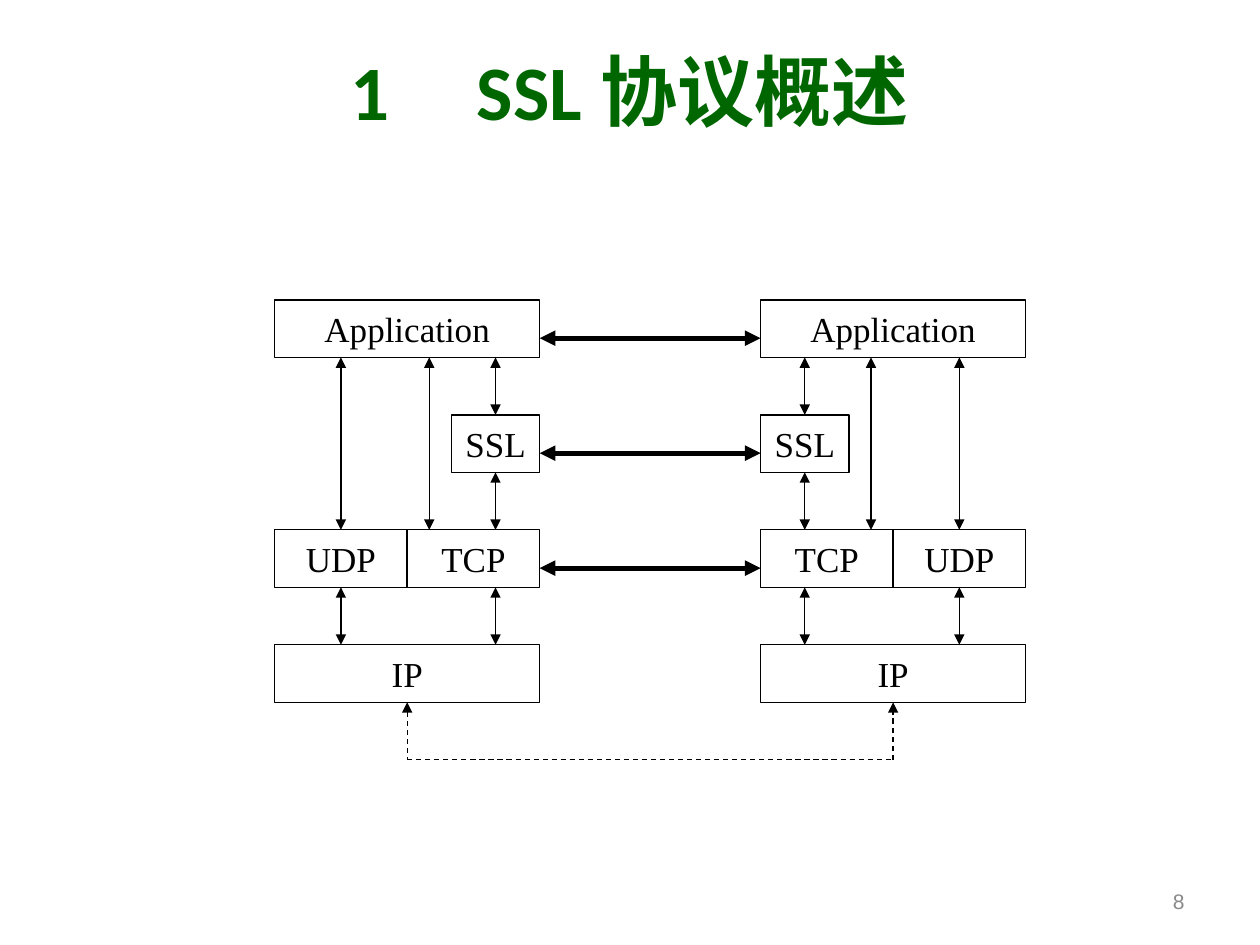
"""Build the SSL protocol overview slide with two mirrored protocol stacks."""
from typing import NamedTuple

from lxml import etree
from pptx import Presentation
from pptx.dml.color import RGBColor
from pptx.enum.dml import MSO_LINE
from pptx.enum.shapes import MSO_CONNECTOR, MSO_SHAPE
from pptx.enum.text import MSO_ANCHOR, PP_ALIGN
from pptx.oxml.ns import qn
from pptx.util import Inches, Pt

RECTANGLE = MSO_SHAPE.RECTANGLE
STRAIGHT = MSO_CONNECTOR.STRAIGHT
DASH = MSO_LINE.DASH
TOP, MIDDLE = MSO_ANCHOR.TOP, MSO_ANCHOR.MIDDLE
CENTER, RIGHT = PP_ALIGN.CENTER, PP_ALIGN.RIGHT
TOP_SITE, BOTTOM_SITE = 0, 2

COLUMNS, ROWS = 17, 8
LEFT, UPPER = 2.18, 2.38
COLUMN, ROW = 5.96 / COLUMNS, 3.65 / ROWS
BLACK, WHITE, GREEN, GRAY = "000000", "FFFFFF", "006600", "898989"


class Layer(NamedTuple):
    """A protocol box of the left stack, in grid columns and rows."""

    name: str
    column: float
    row: float
    columns: float


class Link(NamedTuple):
    """A vertical arrow of the left stack, with the layers joined at its ends."""

    column: float
    start_row: float
    end_row: float
    start_layer: str = ""
    end_layer: str = ""


LAYERS = [
    Layer("TCP", 3, 4, 3),
    Layer("UDP", 0, 4, 3),
    Layer("IP", 0, 6, 6),
    Layer("SSL", 4, 2, 2),
    Layer("Application", 0, 0, 6),
]
LINKS = [
    Link(5, 1, 2, end_layer="SSL"),
    Link(5, 3, 4, start_layer="SSL"),
    Link(5, 5, 6),
    Link(3.5, 1, 4),
    Link(1.5, 1, 4, end_layer="UDP"),
    Link(1.5, 5, 6, start_layer="UDP"),
]


def color(value: str) -> RGBColor:
    """Turn a hex string into a colour."""
    return RGBColor.from_string(value)


def grid_x(column: float):
    """Return the horizontal position of a grid column."""
    return Inches(LEFT + column * COLUMN)


def grid_y(row: float):
    """Return the vertical position of a grid row."""
    return Inches(UPPER + row * ROW)


def write(shape, *runs: tuple[str, str], size=20, hex_color=BLACK, bold=False,
          align=CENTER, anchor=MIDDLE, tab=None):
    """Write runs of (text, font name) into a shape as one paragraph."""
    frame = shape.text_frame
    frame.word_wrap = True
    frame.vertical_anchor = anchor
    paragraph = frame.paragraphs[0]
    paragraph.alignment = align
    if tab is not None:
        tab_list = etree.SubElement(paragraph._p.get_or_add_pPr(), qn("a:tabLst"))
        etree.SubElement(tab_list, qn("a:tab"), pos=str(Inches(tab)), algn="l")
    for text, font_name in runs:
        run = paragraph.add_run()
        run.text = text
        run.font.name = font_name
        run.font.size = Pt(size)
        run.font.bold = bold
        run.font.color.rgb = color(hex_color)


def add_layer(slide, layer: Layer, mirrored: bool):
    """Draw one protocol box and return it."""
    column = COLUMNS - layer.column - layer.columns if mirrored else layer.column
    shape = slide.shapes.add_shape(
        RECTANGLE, grid_x(column), grid_y(layer.row),
        Inches(layer.columns * COLUMN), Inches(ROW))
    shape.shadow.inherit = False
    shape.fill.solid()
    shape.fill.fore_color.rgb = color(WHITE)
    shape.line.color.rgb = color(BLACK)
    shape.line.width = Pt(0.75)
    write(shape, (layer.name, "Times New Roman"))
    return shape


def add_line(slide, start: tuple[float, float], end: tuple[float, float],
             width=0.75, dash=None, head=True, tail=True):
    """Draw a line between two grid points, with optional arrowheads."""
    connector = slide.shapes.add_connector(
        STRAIGHT, grid_x(start[0]), grid_y(start[1]), grid_x(end[0]), grid_y(end[1]))
    connector.line.color.rgb = color(BLACK)
    connector.line.width = Pt(width)
    if dash is not None:
        connector.line.dash_style = dash
    line = connector.line._get_or_add_ln()
    for name, wanted in (("a:headEnd", head), ("a:tailEnd", tail)):
        if wanted:
            etree.SubElement(line, qn(name), type="triangle")
    etree.SubElement(connector._element.spPr, qn("a:effectLst"))
    return connector


def add_stack(slide, mirrored: bool):
    """Draw one protocol stack with its arrows and return its boxes by name."""
    boxes = {layer.name: add_layer(slide, layer, mirrored) for layer in LAYERS}
    for link in LINKS:
        column = COLUMNS - link.column if mirrored else link.column
        connector = add_line(slide, (column, link.start_row), (column, link.end_row))
        if link.start_layer:
            connector.begin_connect(boxes[link.start_layer], BOTTOM_SITE)
        if link.end_layer:
            connector.end_connect(boxes[link.end_layer], TOP_SITE)
    return boxes


def add_text_box(slide, left: float, top: float, width: float, height: float):
    """Add a text box placed in inches."""
    return slide.shapes.add_textbox(
        Inches(left), Inches(top), Inches(width), Inches(height))


def main():
    """Build and save the slide."""
    presentation = Presentation()
    presentation.slide_width = Inches(10)
    presentation.slide_height = Inches(7.5)
    slide = presentation.slides.add_slide(presentation.slide_layouts[6])

    left_boxes = add_stack(slide, mirrored=False)
    right_boxes = add_stack(slide, mirrored=True)
    for row in (0, 2, 4):
        add_line(slide, (6, row + 2 / 3), (11, row + 2 / 3), width=3)

    descent = add_line(slide, (3, 7), (3, 8), dash=DASH, tail=False)
    descent.begin_connect(left_boxes["IP"], BOTTOM_SITE)
    add_line(slide, (3, 8), (14, 8), dash=DASH, head=False, tail=False)
    ascent = add_line(slide, (14, 8), (14, 7), dash=DASH, head=False)
    ascent.end_connect(right_boxes["IP"], BOTTOM_SITE)

    write(add_text_box(slide, 0.5, 0.3, 9, 1.25),
          ("1\tSSL", "Calibri"), ("协议", "Arial"), ("概述", "Calibri"),
          size=44, hex_color=GREEN, bold=True, anchor=TOP, tab=1)
    write(add_text_box(slide, 7.17, 6.95, 2.33, 0.4), ("8", "Arial"),
          size=12, hex_color=GRAY, align=RIGHT)
    presentation.save("out.pptx")


if __name__ == "__main__":
    main()
